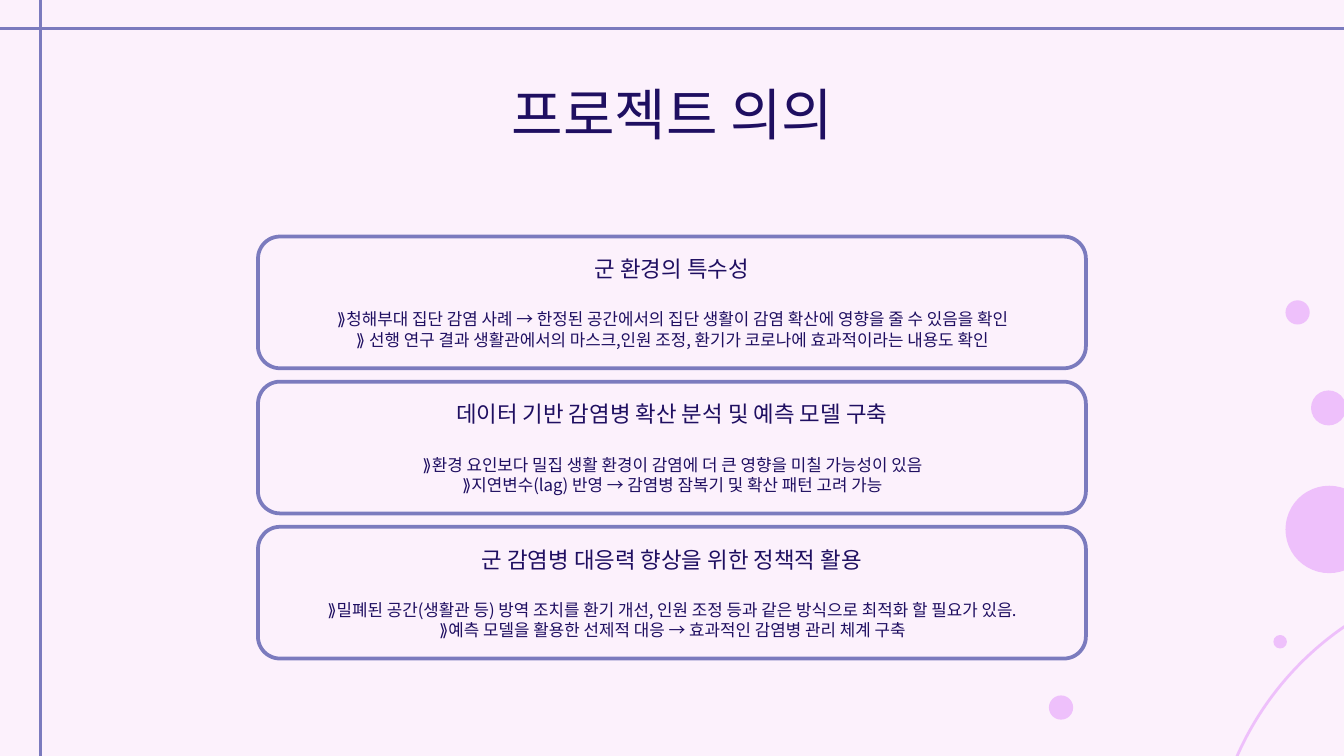
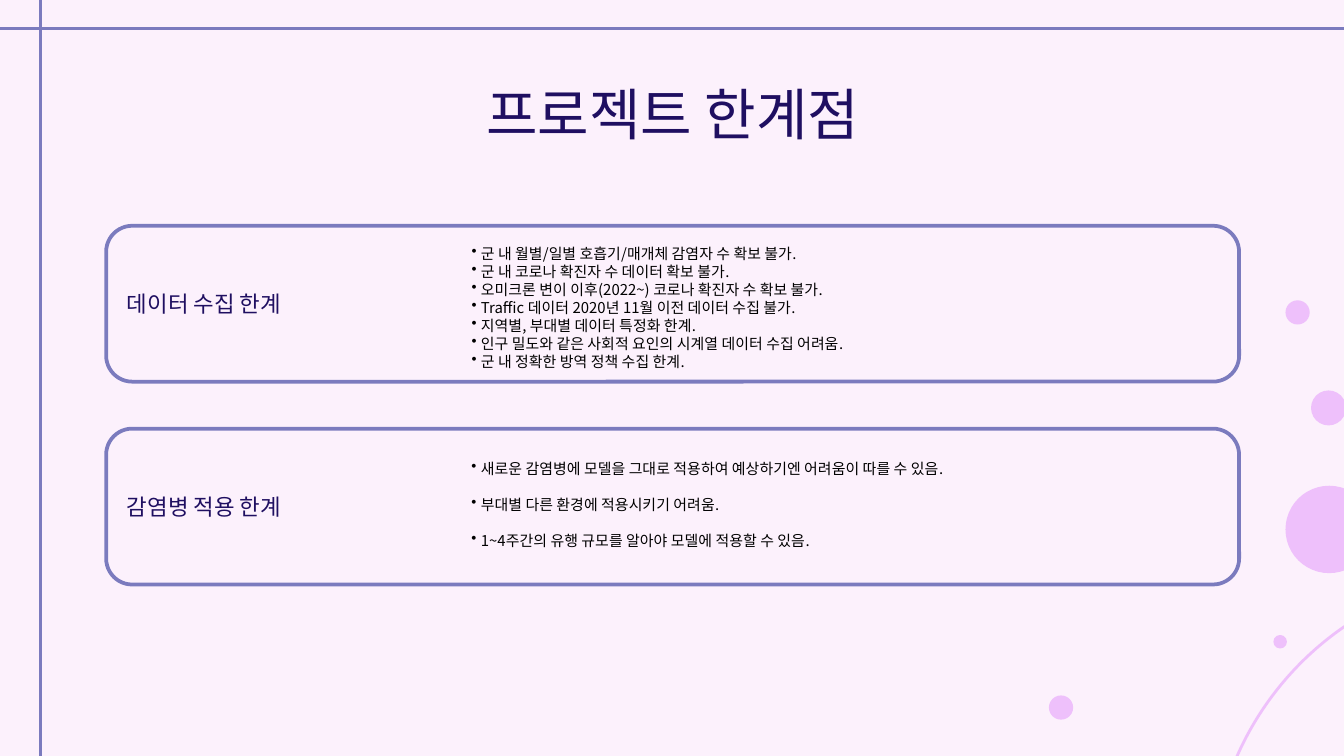
from dataclasses import dataclass

from pptx import Presentation
from pptx import util as u
from pptx.dml.color import RGBColor
from pptx.enum import shapes, text
from pptx.oxml.ns import qn
from lxml import etree


@dataclass(frozen=True)
class Theme:
    font: str = "Noto Sans CJK KR"
    paper: str = "FCF1FC"
    rule: str = "7B7BBE"
    bubble: str = "EEC0FB"
    ink: str = "1F0F61"
    black: str = "000000"
    title: int = 30
    heading: int = 12
    detail: int = 9
    bullet: int = 8
    leading: float = 1.2


@dataclass(frozen=True)
class Area:
    """Columns and rows of a 100 by 100 grid over the slide."""
    left: float
    top: float
    width: float
    height: float

    def down(self, rows: float) -> "Area":
        return Area(self.left, self.top + rows, self.width, self.height)

    def emu(self) -> tuple:
        return (col(self.left), row(self.top), col(self.width), row(self.height))


@dataclass(frozen=True)
class Bubble:
    """Centre on the grid, diameter in columns."""
    x: float
    y: float
    size: float
    filled: bool = True


@dataclass(frozen=True)
class Card:
    heading: str
    details: tuple


@dataclass(frozen=True)
class Limit:
    heading: str
    bullets: tuple
    list_area: Area
    gap: float = 0  # blank lines between bullets


THEME = Theme()
WIDTH, HEIGHT = u.Inches(10), u.Inches(5.625)
TITLE_AREA = Area(7.9, 8.71, 84.3, 11.2)
CARD_AREA, CARD_STEP = Area(19.2, 31.29, 61.6, 17.42), 19.2
LIMIT_AREA, LIMIT_STEP = Area(7.9, 29.87, 84.3, 20.62), 26.84
BULLET_INDENT = u.Inches(0.07)

BUBBLES = (
    Bubble(78.95, 93.6, 1.7),
    Bubble(98.9, 70.04, 6.4),
    Bubble(98.85, 53.96, 2.5),
    Bubble(96.55, 41.33, 1.7),
    Bubble(95.25, 84.89, 0.9),
    Bubble(113, 116.44, 45.8, filled=False),
)

CARDS = (
    Card("군 환경의 특수성", (
        "⟫청해부대 집단 감염 사례 → 한정된 공간에서의 집단 생활이 감염 확산에 영향을 줄 수 있음을 확인",
        "⟫ 선행 연구 결과 생활관에서의 마스크,인원 조정, 환기가 코로나에 효과적이라는 내용도 확인")),
    Card("데이터 기반 감염병 확산 분석 및 예측 모델 구축", (
        "⟫환경 요인보다 밀집 생활 환경이 감염에 더 큰 영향을 미칠 가능성이 있음",
        "⟫지연변수(lag) 반영 → 감염병 잠복기 및 확산 패턴 고려 가능")),
    Card("군 감염병 대응력 향상을 위한 정책적 활용", (
        "⟫밀폐된 공간(생활관 등) 방역 조치를 환기 개선, 인원 조정 등과 같은 방식으로 최적화 할 필요가 있음.",
        "⟫예측 모델을 활용한 선제적 대응 → 효과적인 감염병 관리 체계 구축")),
)

LIMITS = (
    Limit("데이터 수집 한계", (
        "군 내 월별/일별 호흡기/매개체 감염자 수 확보 불가.",
        "군 내 코로나 확진자 수 데이터 확보 불가.",
        "오미크론 변이 이후(2022~) 코로나 확진자 수 확보 불가.",
        "Traffic 데이터 2020년 11월 이전 데이터 수집 불가.",
        "지역별, 부대별 데이터 특정화 한계.",
        "인구 밀도와 같은 사회적 요인의 시계열 데이터 수집 어려움.",
        "군 내 정확한 방역 정책 수집 한계."), Area(34.1, 31.47, 32.1, 18.49)),
    Limit("감염병 적용 한계", (
        "새로운 감염병에 모델을 그대로 적용하여 예상하기엔 어려움이 따를 수 있음.",
        "부대별 다른 환경에 적용시키기 어려움.",
        "1~4주간의 유행 규모를 알아야 모델에 적용할 수 있음."),
        Area(34.1, 59.91, 39.7, 13.69), gap=1),
)


def col(share: float) -> int:
    return round(WIDTH * share / 100)


def row(share: float) -> int:
    return round(HEIGHT * share / 100)


def rgb(value: str) -> RGBColor:
    return RGBColor.from_string(value)


# Text
def style(para, size: int, color: str = THEME.ink, centred: bool = False) -> None:
    para.alignment = text.PP_ALIGN.CENTER if centred else text.PP_ALIGN.LEFT
    para.line_spacing = u.Pt(size * THEME.leading)
    para.font.size = u.Pt(size)
    para.font.color.rgb = rgb(color)
    para.font.name = THEME.font
    east_asian = etree.SubElement(para._p.pPr.find(qn("a:defRPr")), qn("a:ea"))
    east_asian.set("typeface", THEME.font)


def add_para(frame, words: str):
    para = frame.paragraphs[0] if not frame.text else frame.add_paragraph()
    para.text = words
    return para


def add_bullet_mark(para) -> None:
    properties = para._p.get_or_add_pPr()
    properties.set("marL", str(BULLET_INDENT))
    properties.set("indent", str(-BULLET_INDENT))
    etree.SubElement(properties, qn("a:buChar")).set("char", "•")


def add_text_box(page, area: Area):
    frame = page.shapes.add_textbox(*area.emu()).text_frame
    frame.word_wrap = True
    return frame


# Shapes
def add_outlined(page, kind, area: tuple, fill, line: str, weight: float):
    shape = page.shapes.add_shape(kind, *area)
    shape.shadow.inherit = False
    if fill:
        shape.fill.solid()
        shape.fill.fore_color.rgb = rgb(fill)
    else:
        shape.fill.background()
    shape.line.color.rgb = rgb(line)
    shape.line.width = u.Pt(weight)
    return shape


def add_rule(page, x1: float, y1: float, x2: float, y2: float) -> None:
    rule = page.shapes.add_connector(
        shapes.MSO_CONNECTOR.STRAIGHT, col(x1), row(y1), col(x2), row(y2))
    rule.line.color.rgb = rgb(THEME.rule)
    rule.line.width = u.Pt(1.5)
    etree.SubElement(rule._element.spPr, qn("a:effectLst"))


def add_bubble(page, bubble: Bubble) -> None:
    size = col(bubble.size)
    area = (col(bubble.x) - size // 2, row(bubble.y) - size // 2, size, size)
    add_outlined(page, shapes.MSO_SHAPE.OVAL, area,
                 THEME.bubble if bubble.filled else None, THEME.bubble,
                 0.75 if bubble.filled else 1.5)


def add_panel(page, area: Area, heading: str, centred: bool):
    panel = add_outlined(page, shapes.MSO_SHAPE.ROUNDED_RECTANGLE, area.emu(),
                         THEME.paper, THEME.rule, 2)
    frame = panel.text_frame
    frame.word_wrap = True
    frame.vertical_anchor = text.MSO_ANCHOR.MIDDLE
    style(add_para(frame, heading), THEME.heading, centred=centred)
    return frame


# Page parts
def add_page(deck, title: str):
    page = deck.slides.add_slide(deck.slide_layouts[6])
    page.background.fill.solid()
    page.background.fill.fore_color.rgb = rgb(THEME.paper)
    add_rule(page, 3, 0, 3, 100)
    add_rule(page, 0, 3.73, 100, 3.73)
    for bubble in BUBBLES:
        add_bubble(page, bubble)
    frame = add_text_box(page, TITLE_AREA)
    frame.margin_top = frame.margin_bottom = u.Inches(0.1)
    style(add_para(frame, title), THEME.title, centred=True)
    return page


def add_card(page, card: Card, area: Area) -> None:
    frame = add_panel(page, area, card.heading, centred=True)
    frame.paragraphs[0].space_after = u.Pt(THEME.heading * THEME.leading)
    for detail in card.details:
        style(add_para(frame, detail), THEME.detail, centred=True)


def add_limit_list(page, limit: Limit) -> None:
    frame = add_text_box(page, limit.list_area)
    for index, words in enumerate(limit.bullets):
        para = add_para(frame, words)
        add_bullet_mark(para)
        if index and limit.gap:
            para.space_before = u.Pt(limit.gap * THEME.bullet * THEME.leading)
        style(para, THEME.bullet, THEME.black)


def main() -> None:
    deck = Presentation()
    deck.slide_width, deck.slide_height = WIDTH, HEIGHT

    # Significance
    page = add_page(deck, "프로젝트 의의")
    for index, card in enumerate(CARDS):
        add_card(page, card, CARD_AREA.down(index * CARD_STEP))

    # Limitations
    page = add_page(deck, "프로젝트 한계점")
    for index, limit in enumerate(LIMITS):
        add_panel(page, LIMIT_AREA.down(index * LIMIT_STEP), limit.heading, centred=False)
        add_limit_list(page, limit)

    deck.save("out.pptx")


if __name__ == "__main__":
    main()
